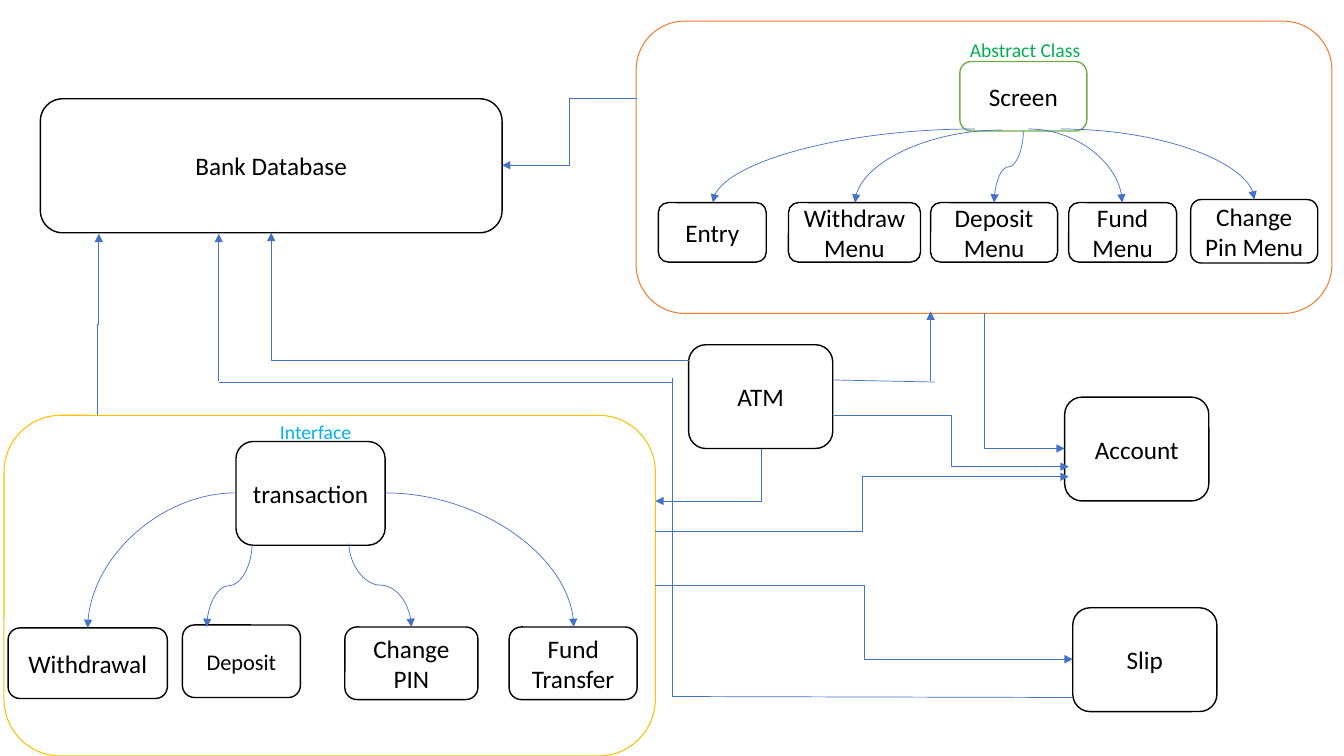
import pptx
import pptx.dml.color
import pptx.enum.shapes
import pptx.enum.text
import pptx.oxml
import pptx.oxml.ns
import pptx.util
from dataclasses import dataclass

PX = 9144  # EMU per px, 100 px to the inch


@dataclass(frozen=True)
class Theme:
    font: str = "Calibri"
    ink: str = "000000"
    paper: str = "FFFFFF"
    arrow: str = "4472C4"
    abstract_line: str = "70AD47"
    abstract_text: str = "00B050"
    interface_text: str = "00B0F0"
    screen_group: str = "ED7D31"
    transaction_group: str = "FFC000"
    body: int = 18
    small: int = 16
    label: int = 14
    box_line: float = 1
    group_line: float = 0.75
    arrow_line: float = 0.5


def color(value):
    return pptx.dml.color.RGBColor.from_string(value)


class Diagram:
    def __init__(self, slide, theme):
        self.slide = slide
        self.theme = theme

    def add_text(self, shape, text, size, ink, align):
        frame = shape.text_frame
        frame.word_wrap = True
        for index, line in enumerate(text.split("\n")):
            paragraph = frame.paragraphs[0] if index == 0 else frame.add_paragraph()
            paragraph.alignment = align
            run = paragraph.add_run()
            run.text = line
            run.font.name = self.theme.font
            run.font.size = pptx.util.Pt(size)
            run.font.color.rgb = color(ink)

    def outline(self, left, top, width, height, line, weight):
        shape = self.slide.shapes.add_shape(
            pptx.enum.shapes.MSO_SHAPE.ROUNDED_RECTANGLE,
            left * PX, top * PX, width * PX, height * PX)
        shape.shadow.inherit = False
        shape.fill.background()
        shape.line.color.rgb = color(line)
        shape.line.width = pptx.util.Pt(weight)
        return shape

    def group(self, left, top, width, height, line):
        self.outline(left, top, width, height, line, self.theme.group_line)

    def box(self, text, left, top, width, height, line=None, size=None):
        theme = self.theme
        shape = self.outline(left, top, width, height, line or theme.ink, theme.box_line)
        shape.fill.solid()
        shape.fill.fore_color.rgb = color(theme.paper)
        shape.text_frame.vertical_anchor = pptx.enum.text.MSO_ANCHOR.MIDDLE
        self.add_text(shape, text, size or theme.body, theme.ink,
                      pptx.enum.text.PP_ALIGN.CENTER)

    def label(self, text, left, top, width, height, ink, align):
        shape = self.slide.shapes.add_textbox(left * PX, top * PX, width * PX, height * PX)
        shape.text_frame.auto_size = pptx.enum.text.MSO_AUTO_SIZE.SHAPE_TO_FIT_TEXT
        self.add_text(shape, text, self.theme.label, ink, align)

    def connect(self, kind, begin, end, arrow=True):
        x1, y1, x2, y2 = (int(value * PX) for value in (*begin, *end))
        connector = self.slide.shapes.add_connector(kind, x1, y1, x2, y2)
        connector.line.color.rgb = color(self.theme.arrow)
        connector.line.width = pptx.util.Pt(self.theme.arrow_line)
        properties = connector._element.spPr
        if arrow:
            tail = pptx.oxml.parse_xml(
                f'<a:tailEnd {pptx.oxml.ns.nsdecls("a")} type="triangle"/>')
            properties.find(pptx.oxml.ns.qn("a:ln")).append(tail)
        properties.append(pptx.oxml.parse_xml(
            f'<a:effectLst {pptx.oxml.ns.nsdecls("a")}/>'))
        return properties

    def line(self, begin, end, arrow=False):
        self.connect(pptx.enum.shapes.MSO_CONNECTOR.STRAIGHT, begin, end, arrow)

    def route(self, style, begin, end, legs, upright=False):
        """Arrow of two or three legs; an upright one leaves vertically."""
        across, down = end[0] - begin[0], end[1] - begin[1]
        if upright:
            turn = 270 if across > 0 and down > 0 else 90
        else:
            turn = 180 if across < 0 else 0
        # Undo the turn about the centre to find the unrotated end points
        width, height = {0: (across, down), 90: (down, -across),
                         180: (-across, -down), 270: (-down, across)}[turn]
        sum_x, sum_y = begin[0] + end[0], begin[1] + end[1]
        kind = {"bent": pptx.enum.shapes.MSO_CONNECTOR.ELBOW,
                "curved": pptx.enum.shapes.MSO_CONNECTOR.CURVE}[style]
        properties = self.connect(kind, ((sum_x - width) / 2, (sum_y - height) / 2),
                                  ((sum_x + width) / 2, (sum_y + height) / 2))
        properties.find(pptx.oxml.ns.qn("a:prstGeom")).set("prst", f"{style}Connector{legs}")
        if turn:
            properties.find(pptx.oxml.ns.qn("a:xfrm")).set("rot", str(turn * 60000))


def main():
    presentation = pptx.Presentation()
    presentation.slide_width = 1333 * PX
    presentation.slide_height = 750 * PX
    slide = presentation.slides.add_slide(presentation.slide_layouts[6])
    theme = Theme()
    diagram = Diagram(slide, theme)

    # Main classes
    for name, left, top in (("ATM", 683, 342), ("Slip", 1064, 603), ("Account", 1056, 394)):
        diagram.box(name, left, top, 143, 103)
    diagram.box("Bank Database", 40, 98, 458, 133)

    # Screen and its menus
    diagram.box("Screen", 952, 61, 126, 69, line=theme.abstract_line)
    for name, left, width in (("Entry", 653, 107), ("Withdraw Menu", 782, 131),
                              ("Deposit\nMenu", 923, 126), ("Fund\nMenu", 1060, 107)):
        diagram.box(name, left, 201, width, 59)
    diagram.box("Change Pin Menu", 1181, 198, 126, 63)
    diagram.label("Abstract Class", 952, 33, 143, 34, theme.abstract_text,
                  pptx.enum.text.PP_ALIGN.LEFT)

    # Transaction and its kinds
    diagram.box("transaction", 234, 438, 148, 103)
    diagram.box("Withdrawal", 8, 623, 158, 70)
    diagram.box("Deposit", 181, 620, 117, 72, size=theme.small)
    diagram.box("Change PIN", 342, 622, 132, 72)
    diagram.box("Fund Transfer", 505, 622, 127, 72)
    diagram.label("Interface", 239, 412, 148, 34, theme.interface_text,
                  pptx.enum.text.PP_ALIGN.CENTER)

    # Inheritance arrows: sideways arcs, then downward S-curves
    for begin, end in (((234, 489), (87, 623)), ((382, 489), (569, 622)),
                       ((967, 128), (707, 201)), ((994, 129), (848, 201)),
                       ((1020, 128), (1113, 201)), ((1052, 128), (1244, 198))):
        diagram.route("curved", begin, end, 2)
    for begin, end in (((250, 540), (205, 622)), ((346, 539), (408, 622)),
                       ((1015, 130), (986, 201))):
        diagram.route("curved", begin, end, 3, upright=True)

    # Group outlines
    diagram.group(4, 412, 646, 338, theme.transaction_group)
    diagram.group(631, 21, 690, 290, theme.screen_group)

    # Associations
    for begin, end, legs, upright in (
            ((683, 358), (269, 231), 2, False),    # ATM to database
            ((97, 412), (98, 232), 3, True),       # transactions to database
            ((632, 98), (498, 164), 3, False),     # screens to database
            ((976, 311), (1056, 445), 2, True),    # screens to account
            ((650, 581), (1064, 654), 3, False),   # transactions to slip
            ((650, 527), (1060, 473), 3, False),   # transactions to account
            ((827, 412), (1060, 463), 3, False),   # ATM to account
            ((755, 445), (650, 497), 2, True)):    # ATM to transactions
        diagram.route("bent", begin, end, legs, upright)

    # ATM to screens
    diagram.line((827, 377), (927, 379))
    diagram.line((923, 378), (923, 309), arrow=True)

    # Slip to database
    diagram.line((667, 691), (1064, 692))
    diagram.line((667, 375), (667, 691))
    diagram.line((217, 379), (667, 379))
    diagram.line((217, 378), (217, 232), arrow=True)

    presentation.save("out.pptx")


if __name__ == "__main__":
    main()
